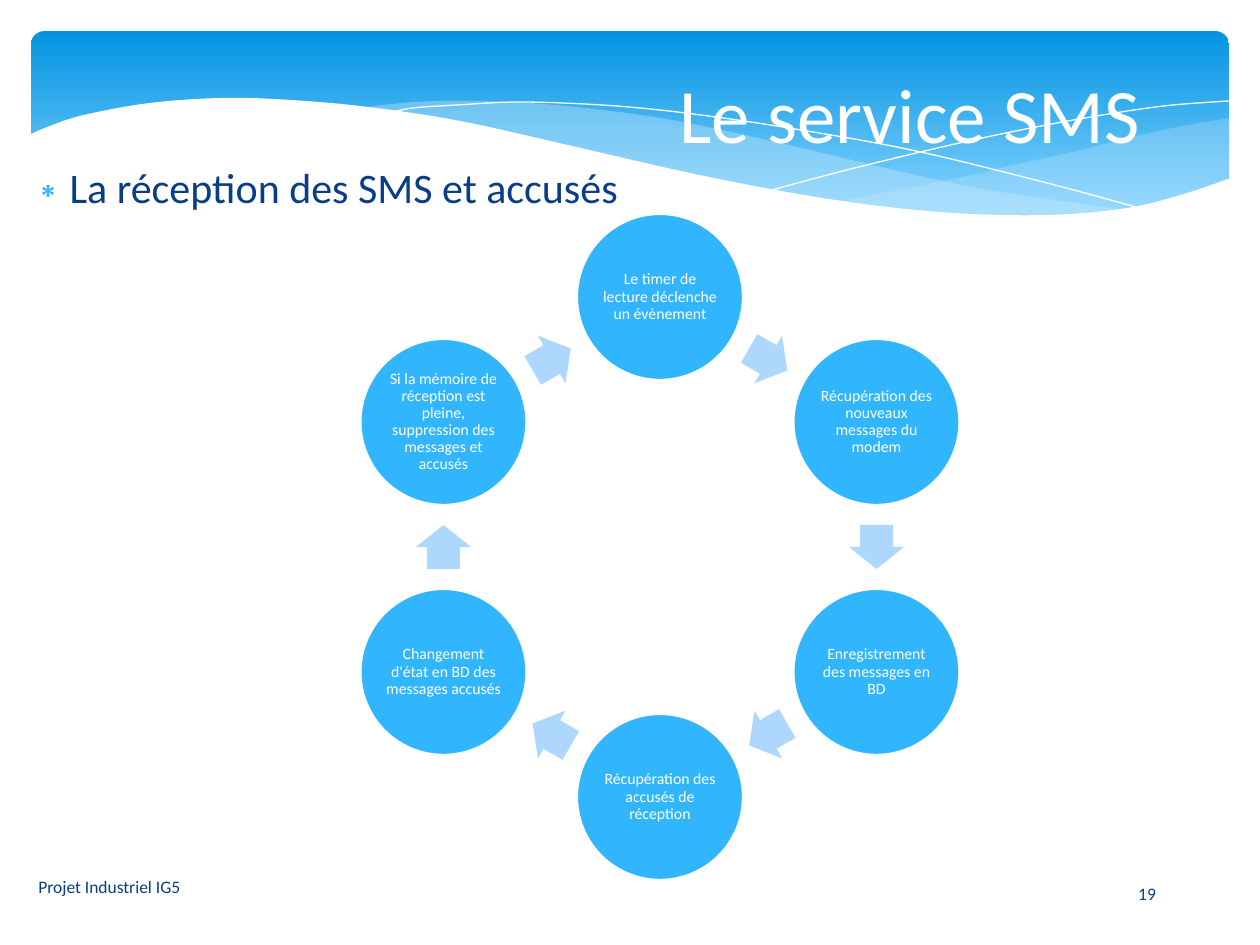
"""Build the slide on the SMS service: a wave banner, a bullet and a six-step cycle."""
import dataclasses
import math
import typing

import pptx
import pptx.dml.color
import pptx.enum.shapes
import pptx.enum.text
import pptx.oxml
import pptx.oxml.ns
import pptx.util

EMU_PER_PX = 914400 / 126
FONT = "Calibri"
COLORS = {
    "band_top": "0293E0",
    "band_bottom": "83D3FE",
    "veil": "C6E7FC",
    "white": "FFFFFF",
    "accent": "31B6FD",
    "arrow": "AED7FE",
    "text": "073E87",
}
ALIGN = pptx.enum.text.PP_ALIGN
SHAPES = pptx.enum.shapes.MSO_SHAPE
Point = typing.Tuple[float, float]


@dataclasses.dataclass(frozen=True)
class Box:
    left: float
    top: float
    width: float
    height: float

    def emu(self) -> typing.List[int]:
        return [px(length) for length in dataclasses.astuple(self)]


@dataclasses.dataclass(frozen=True)
class Wave:
    edges: typing.Sequence[typing.Sequence[Point]]
    color: str
    opacity: int = 100
    filled: bool = True


@dataclasses.dataclass(frozen=True)
class Label:
    box: Box
    text: str
    align: typing.Any


WAVES = (
    Wave((
        ((1229, 118), (1178, 127), (1123, 139), (1085, 149), (1014, 165), (949, 180), (833, 202)),
        ((833, 202), (888, 208), (954, 214), (1026, 217), (1087, 214), (1140, 205), (1187, 194),
         (1230, 178)),
    ), "veil", 29),
    Wave((
        ((360, 108), (413, 102), (479, 101), (557, 105), (648, 116), (717, 129), (793, 146),
         (890, 169), (977, 188), (1055, 200), (1125, 210)),
        ((1125, 210), (1080, 215), (1017, 218), (942, 214), (857, 205), (757, 189), (668, 170),
         (566, 146), (483, 127), (407, 113), (360, 108)),
    ), "veil", 40),
    Wave((
        ((389, 113), (413, 108), (457, 105), (524, 102), (616, 106), (701, 115), (801, 130),
         (916, 151), (1047, 183), (1143, 209)),
    ), "white", filled=False),
    Wave((
        ((772, 190), (847, 170), (942, 147), (1016, 131), (1091, 117), (1164, 106), (1229, 101)),
    ), "white", filled=False),
    Wave((
        ((1231, 178), (1184, 194), (1133, 207), (1071, 214), (999, 215), (915, 210), (816, 197),
         (699, 175), (563, 144), (460, 121), (368, 107), (290, 100), (223, 98), (150, 103),
         (84, 115), (50, 126), (29, 135)),
        ((29, 282), (1231, 282)),
    ), "white"),
)
STEPS = (
    "Le timer de lecture déclenche un évènement",
    "Récupération des nouveaux messages du modem",
    "Enregistrement des messages en BD",
    "Récupération des accusés de réception",
    "Changement d'état en BD des messages accusés",
    "Si la mémoire de réception est pleine, suppression des messages et accusés",
)
RING_CENTER = (660, 547)
RING_RADIUS = 250
STEP_SIZE = 166
ARROW_SIZE = (44, 55)
LABELS = (
    Label(Box(26, 862, 522, 50), "Projet Industriel IG5", ALIGN.LEFT),
    Label(Box(1067, 869, 160, 50), "19", ALIGN.CENTER),
)


def px(length: float) -> int:
    return round(length * EMU_PER_PX)


def rgb(name: str) -> pptx.dml.color.RGBColor:
    return pptx.dml.color.RGBColor.from_string(COLORS[name])


def paint(shape, color: str) -> None:
    shape.fill.solid()
    shape.fill.fore_color.rgb = rgb(color)
    shape.line.fill.background()
    shape.shadow.inherit = False


def place(shape, box: Box) -> None:
    shape.left, shape.top, shape.width, shape.height = box.emu()


def write(shape, text: str, size: int, color: str, align, middle: bool = True) -> None:
    frame = shape.text_frame
    frame.text = text
    frame.word_wrap = True
    frame.auto_size = pptx.enum.text.MSO_AUTO_SIZE.NONE
    anchors = pptx.enum.text.MSO_ANCHOR
    frame.vertical_anchor = anchors.MIDDLE if middle else anchors.TOP
    paragraph = frame.paragraphs[0]
    paragraph.alignment = align
    font = paragraph.runs[0].font
    font.name, font.size = FONT, pptx.util.Pt(size)
    font.color.rgb = rgb(color)


def smooth(knots: typing.Sequence[Point], steps: int = 6) -> typing.List[Point]:
    padded = [knots[0], *knots, knots[-1]]
    points = [knots[0]]
    for a, b, c, d in zip(padded, padded[1:], padded[2:], padded[3:]):
        for step in range(1, steps + 1):
            t = step / steps
            points.append(tuple(
                q + t * (r - p) / 2 + t**2 * (2 * p - 5 * q + 4 * r - s) / 2
                + t**3 * (3 * q - p - 3 * r + s) / 2
                for p, q, r, s in zip(a, b, c, d)
            ))
    return points


def draw_band(slide) -> None:
    band = slide.shapes.add_shape(SHAPES.ROUNDED_RECTANGLE, *Box(31, 31, 1198, 197).emu())
    band.adjustments[0] = 0.07
    paint(band, "band_top")
    band.fill.gradient()
    band.fill.gradient_angle = 270
    for stop, color, position in zip(band.fill.gradient_stops, ("band_top", "band_bottom"), (0, 0.9)):
        stop.color.rgb = rgb(color)
        stop.position = position


def draw_wave(slide, wave: Wave) -> None:
    points = [(px(x), px(y)) for edge in wave.edges for x, y in smooth(edge)]
    builder = slide.shapes.build_freeform(*points[0], scale=1.0)
    builder.add_line_segments(points[1:], close=wave.filled)
    shape = builder.convert_to_shape()
    paint(shape, wave.color)
    if not wave.filled:
        shape.fill.background()
        shape.line.color.rgb = rgb(wave.color)
        shape.line.width = pptx.util.Pt(0)
    elif wave.opacity < 100:
        color = next(shape.element.iter(pptx.oxml.ns.qn("a:srgbClr")))
        alpha = pptx.oxml.parse_xml(f'<a:alpha {pptx.oxml.ns.nsdecls("a")} val="{wave.opacity * 1000}"/>')
        color.append(alpha)


def ring_box(degrees: float, radius: float, width: float, height: float) -> Box:
    x = RING_CENTER[0] + radius * math.sin(math.radians(degrees))
    y = RING_CENTER[1] - radius * math.cos(math.radians(degrees))
    return Box(x - width / 2, y - height / 2, width, height)


def draw_step(slide, text: str, degrees: float) -> None:
    circle = slide.shapes.add_shape(SHAPES.OVAL, *ring_box(degrees, RING_RADIUS, STEP_SIZE, STEP_SIZE).emu())
    paint(circle, "accent")
    circle.line.color.rgb = rgb("white")
    circle.line.width = pptx.util.Pt(1.25)
    write(circle, text, 9, "white", ALIGN.CENTER)
    frame = circle.text_frame
    frame.margin_left = frame.margin_right = frame.margin_top = frame.margin_bottom = px(1)
    frame.paragraphs[0].line_spacing = 0.9


def draw_arrow(slide, degrees: float, half_turn: float) -> None:
    radius = RING_RADIUS * math.cos(math.radians(half_turn))
    box = ring_box(degrees, radius, *ARROW_SIZE)
    arrow = slide.shapes.add_shape(SHAPES.RIGHT_ARROW, *box.emu())
    arrow.adjustments[0], arrow.adjustments[1] = 0.6, 0.5
    arrow.rotation = degrees
    paint(arrow, "arrow")


def fill_placeholders(slide) -> None:
    title, body = slide.shapes.title, slide.placeholders[1]
    place(body, Box(15, 155, 1021, 475))
    write(body, "La réception des SMS et accusés", 24, "text", ALIGN.LEFT, middle=False)
    properties = body.text_frame.paragraphs[0]._p.get_or_add_pPr()
    properties.set("marL", str(px(38)))
    properties.set("indent", str(-px(38)))
    namespace = pptx.oxml.ns.nsdecls("a")
    properties.append(pptx.oxml.parse_xml(
        f'<a:buClr {namespace}><a:srgbClr val="{COLORS["accent"]}"/></a:buClr>'))
    properties.append(pptx.oxml.parse_xml(f'<a:buChar {namespace} char="∗"/>'))
    place(title, Box(343, 26, 1134, 173))
    write(title, "Le service SMS", 44, "white", ALIGN.CENTER)
    for shape in (body, title):
        shape.element.getparent().append(shape.element)


def main() -> None:
    presentation = pptx.Presentation()
    presentation.slide_width, presentation.slide_height = px(1260), px(945)
    slide = presentation.slides.add_slide(presentation.slide_layouts[1])
    draw_band(slide)
    for wave in WAVES:
        draw_wave(slide, wave)
    fill_placeholders(slide)
    turn = 360 / len(STEPS)
    for index, text in enumerate(STEPS):
        draw_step(slide, text, index * turn)
        draw_arrow(slide, (index + 0.5) * turn, turn / 2)
    for label in LABELS:
        write(slide.shapes.add_textbox(*label.box.emu()), label.text, 10, "text", label.align)
    presentation.save("out.pptx")


if __name__ == "__main__":
    main()
